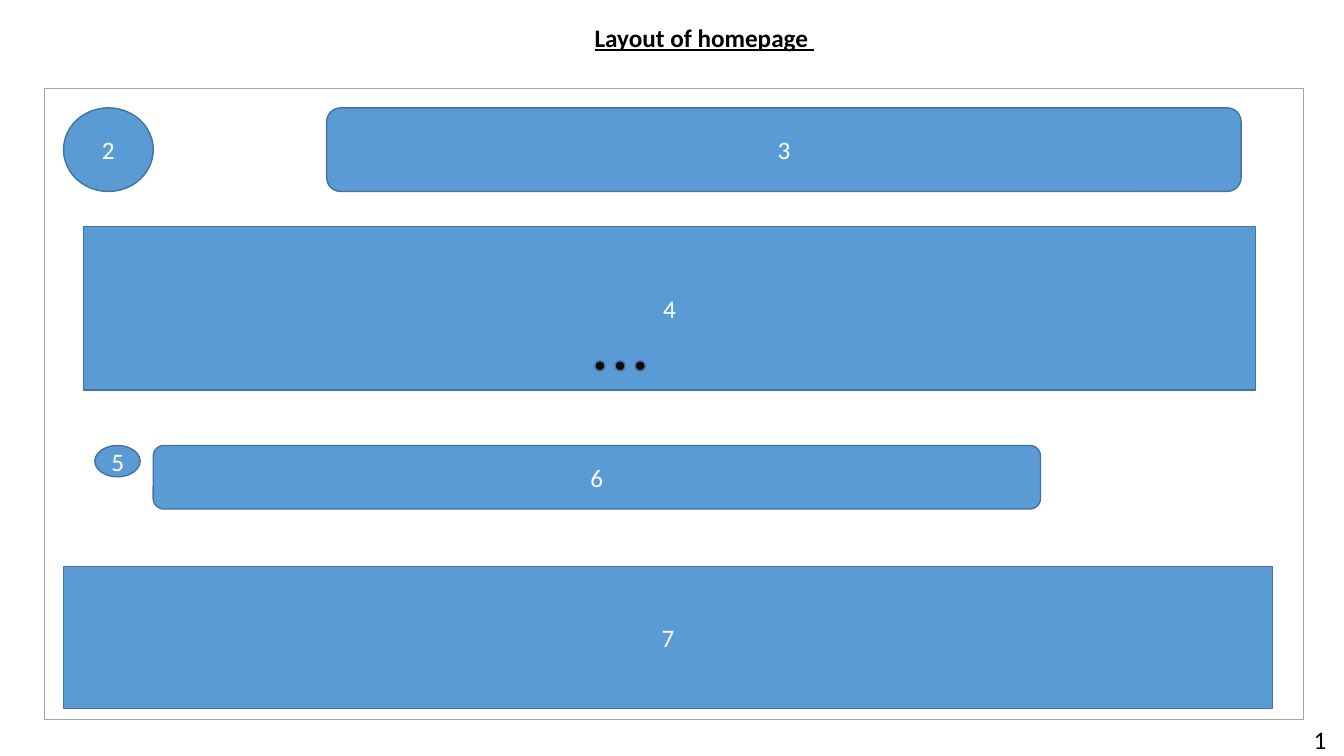
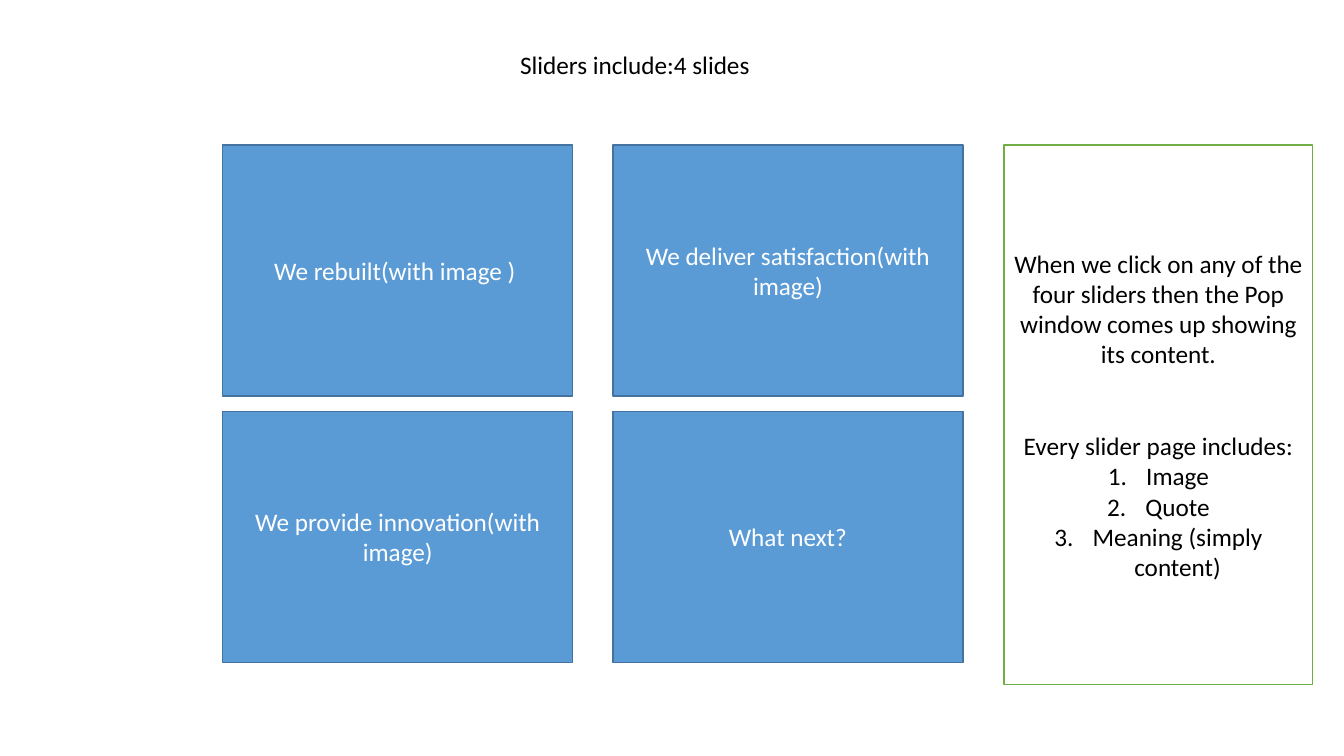
from pptx import Presentation
from pptx.dml.color import RGBColor
from pptx.enum.shapes import MSO_SHAPE
from pptx.enum.text import MSO_ANCHOR, PP_ALIGN
from pptx.oxml.ns import qn
from pptx.util import Inches, Pt
from lxml import etree

RECT, ROUNDED, OVAL = MSO_SHAPE.RECTANGLE, MSO_SHAPE.ROUNDED_RECTANGLE, MSO_SHAPE.OVAL
LEFT, CENTER = PP_ALIGN.LEFT, PP_ALIGN.CENTER
MIDDLE = MSO_ANCHOR.MIDDLE

BLUE = RGBColor(0x5B, 0x9B, 0xD5)
DARK_BLUE = RGBColor(0x43, 0x73, 0x9E)
GREEN = RGBColor(0x70, 0xAD, 0x47)
GRAY = RGBColor(0xA5, 0xA5, 0xA5)
NEAR_BLACK = RGBColor(0x0D, 0x0D, 0x0D)
BLACK = RGBColor(0, 0, 0)
WHITE = RGBColor(0xFF, 0xFF, 0xFF)

BODY_FONT = {"name": "Calibri", "size": Pt(18)}


def write(paragraph, text, color, align=CENTER, **emphasis):
    """Write one run in the shared body style."""
    paragraph.alignment = align
    run = paragraph.add_run()
    run.text = text
    run.font.color.rgb = color
    for attribute, value in {**BODY_FONT, **emphasis}.items():
        setattr(run.font, attribute, value)


def add_label(slide, box, text, align=LEFT, **emphasis):
    """Place black text without a frame."""
    frame = slide.shapes.add_textbox(*map(Inches, box)).text_frame
    frame.word_wrap = True
    write(frame.paragraphs[0], text, BLACK, align, **emphasis)


def add_panel(slide, box, outline=RECT, text="", fill=BLUE, line=DARK_BLUE):
    """Place a filled shape with optional centred white text."""
    panel = slide.shapes.add_shape(outline, *map(Inches, box))
    panel.shadow.inherit = False
    panel.fill.solid()
    panel.fill.fore_color.rgb = fill
    panel.line.color.rgb = line
    panel.line.width = Pt(1)
    panel.text_frame.vertical_anchor = MIDDLE
    if text:
        write(panel.text_frame.paragraphs[0], text, WHITE)
    return panel


def number_item(paragraph):
    """Turn a paragraph into an automatically numbered item."""
    properties = paragraph._p.get_or_add_pPr()
    properties.set("marL", str(Inches(0.38)))
    properties.set("indent", str(-Inches(0.38)))
    etree.SubElement(properties, qn("a:buAutoNum"), type="arabicPeriod")


def homepage_wireframe(slide, box):
    """Draw the numbered homepage regions, slider dots and page number."""
    left, top, width, height = box
    add_panel(slide, box, fill=WHITE, line=GRAY)
    regions = [
        (OVAL, 0.19, 0.19, 0.89, 0.83),
        (ROUNDED, 2.8, 0.19, 9.07, 0.83),
        (RECT, 0.39, 1.37, 11.62, 1.62),
        (OVAL, 0.5, 3.54, 0.45, 0.31),
        (ROUNDED, 1.08, 3.54, 8.8, 0.63),
        (RECT, 0.19, 4.74, 11.99, 1.41),
    ]
    for number, (outline, x, y, w, h) in enumerate(regions, start=2):
        add_panel(slide, (left + x, top + y, w, h), outline, str(number))
    for dot in range(3):
        dot_box = (left + 5.46 + dot * 0.2, top + 2.7, 0.1, 0.1)
        add_panel(slide, dot_box, OVAL, fill=NEAR_BLACK)
    add_label(slide, (left + width, top + height, 0.4, 0.4), "1")


def slider_grid(slide, box, captions):
    """Draw the slider captions as a grid of two columns."""
    left, top, width, height = box
    column_gap, row_gap = 0.4, 0.15
    cell_width = (width - column_gap) / 2
    cell_height = (height - row_gap) / 2
    for index, caption in enumerate(captions):
        row, column = divmod(index, 2)
        x = left + column * (cell_width + column_gap)
        y = top + row * (cell_height + row_gap)
        add_panel(slide, (x, y, cell_width, cell_height), text=caption)


def popup_note(slide, box, behaviour, heading, items):
    """Draw the outlined note with a numbered list."""
    frame = add_panel(slide, box, fill=WHITE, line=GREEN).text_frame
    write(frame.paragraphs[0], behaviour, BLACK)
    heading_paragraph = frame.add_paragraph()
    heading_paragraph.space_before = Pt(44)
    write(heading_paragraph, heading, BLACK)
    for item in items:
        paragraph = frame.add_paragraph()
        write(paragraph, item, BLACK)
        number_item(paragraph)


def homepage_slide(slide):
    """Build the homepage layout slide."""
    add_label(slide, (5.42, 0.17, 3.13, 0.71), "Layout of homepage ", CENTER,
              bold=True, underline=True)
    homepage_wireframe(slide, (0.44, 0.88, 12.49, 6.26))


def sliders_slide(slide):
    """Build the slide that describes the sliders."""
    add_label(slide, (5.06, 0.44, 6.01, 0.4), "Sliders include:4 slides")
    slider_grid(slide, (2.21, 1.44, 7.34, 5.13), [
        "We rebuilt(with image ) ",
        "We deliver satisfaction(with image)",
        "We provide innovation(with image)",
        "What next?",
    ])
    popup_note(
        slide, (9.96, 1.44, 3.06, 5.35),
        "When we click on any of the four sliders then the Pop window comes up "
        "showing its content.",
        "Every slider page includes:",
        ["Image", "Quote", "Meaning (simply content)"],
    )


def main():
    """Build and save the presentation."""
    deck = Presentation()
    deck.slide_width, deck.slide_height = Inches(13.33), Inches(7.5)
    blank = deck.slide_layouts[6]
    for build in (homepage_slide, sliders_slide):
        build(deck.slides.add_slide(blank))
    deck.save("out.pptx")


main()
